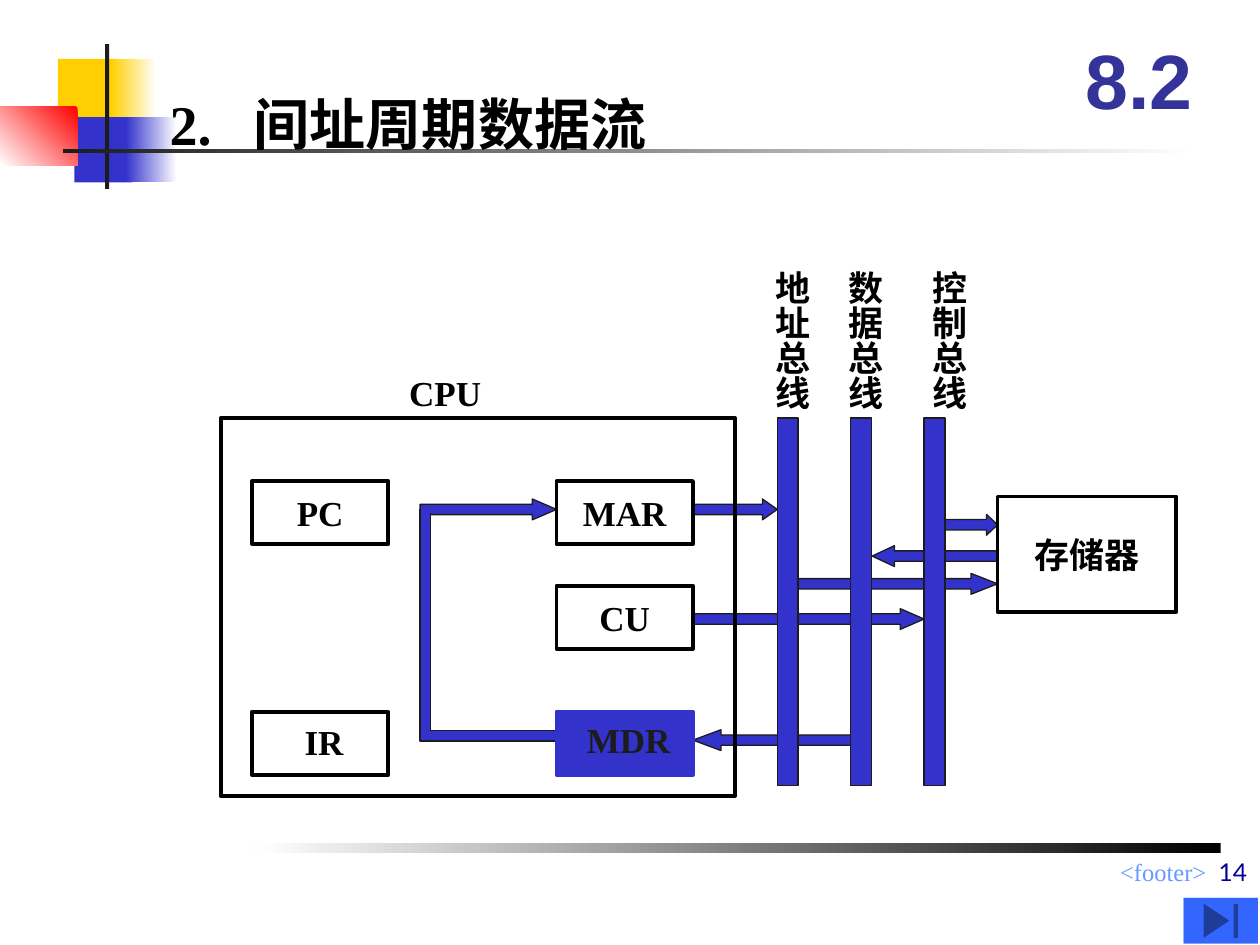
from pptx import Presentation
from pptx.dml.color import RGBColor
from pptx.enum.shapes import MSO_SHAPE
from pptx.enum.text import MSO_ANCHOR, PP_ALIGN
from pptx.oxml import parse_xml
from pptx.oxml.ns import nsdecls
from pptx.util import Cm, Pt

BLUE, DARK, BLACK, WHITE = "3333CC", "1C1C1C", "000000", "FFFFFF"
SERIF = "Times New Roman"
THIN = 0.42
CELL_WIDTH, CELL_HEIGHT = 2.75, 1.27
BUS_TOP, BUS_LEFT, BUS_STEP = 8.43, 15.67, 1.48


def color(code):
    """Turn a hex string into a colour."""
    return RGBColor.from_string(code)


def add_block(page, place, fill=None, line=None, weight=0.75, kind=MSO_SHAPE.RECTANGLE):
    """Add a preset shape with a flat fill and an outline, either optional."""
    block = page.shapes.add_shape(kind, *map(Cm, place))
    block.shadow.inherit = False
    if fill:
        block.fill.solid()
        block.fill.fore_color.rgb = color(fill)
    else:
        block.fill.background()
    if line:
        block.line.color.rgb = color(line)
        block.line.width = Pt(weight)
    else:
        block.line.fill.background()
    return block


def add_fade(page, place, first, last, angle=180):
    """Add a rectangle that fades from one colour to another."""
    block = add_block(page, place)
    block.fill.gradient()
    block.fill.gradient_angle = angle
    for stop, code in zip(block.fill.gradient_stops, (first, last)):
        stop.color.rgb = color(code)


def add_arrow(page, left, top, width, head, turned=False):
    """Add a block arrow, pointing left when turned."""
    arrow = add_block(page, (left, top, width, THIN), BLUE, DARK, kind=MSO_SHAPE.RIGHT_ARROW)
    arrow.adjustments[0] = 0.5
    arrow.adjustments[1] = head
    arrow.rotation = 180 if turned else 0


def write(box, text, size=20, font=SERIF, code=BLACK, bold=True,
          align=PP_ALIGN.LEFT, anchor=MSO_ANCHOR.TOP, wrap=False):
    """Write one paragraph into a box and return it."""
    frame = box.text_frame
    frame.word_wrap = wrap
    frame.vertical_anchor = anchor
    para = frame.paragraphs[0]
    para.alignment = align
    span = para.add_run()
    span.text = text
    span.font.size = Pt(size)
    span.font.name = font
    span.font.bold = bold
    span.font.color.rgb = color(code)
    return para


def add_label(page, place, text, **style):
    """Add a text box and return it."""
    box = page.shapes.add_textbox(*map(Cm, place))
    write(box, text, **style)
    return box


def add_unit(page, place, text):
    """Add an outlined box with a centred name."""
    unit = add_block(page, place, line=BLACK, weight=2.25)
    write(unit, text, align=PP_ALIGN.CENTER, anchor=MSO_ANCHOR.MIDDLE)


def add_bus(page, index, name, label_left):
    """Add a bus bar with its vertical name above."""
    add_block(page, (BUS_LEFT + index * BUS_STEP, BUS_TOP, THIN, 7.41), BLUE, DARK)
    frame = add_label(page, (label_left, 5.21, 1.35, 3.1), name).text_frame
    frame.margin_left = frame.margin_right = Cm(0.13)
    frame.margin_top = frame.margin_bottom = Cm(0.25)
    frame._txBody.bodyPr.set("vert", "eaVert")


def add_decoration(page):
    """Add the coloured corner and the fading rules."""
    add_block(page, (1.17, 1.19, 1.22, 1.32), "FFCF01")
    add_fade(page, (2.24, 1.19, 0.91, 1.32), WHITE, "FFCF01")
    add_block(page, (1.5, 2.36, 1.17, 1.32), BLUE)
    add_fade(page, (2.54, 2.36, 1.02, 1.32), WHITE, BLUE)
    add_fade(page, (0, 2.15, 1.56, 1.18), "FF0000", WHITE, 225)
    add_block(page, (2.12, 0.89, 0.08, 2.92), DARK)
    add_fade(page, (1.27, 3, 22.86, 0.08), WHITE, DARK)
    add_fade(page, (5.13, 16.99, 19.48, 0.2), BLACK, WHITE)


def add_title(page):
    """Add the title with a tab after its number."""
    box = page.shapes.add_textbox(Cm(3.17), Cm(1.69), Cm(15.88), Cm(1.63))
    para = write(box, "2.\t间址周期数据流", size=32, wrap=True)
    stops = f'<a:tabLst {nsdecls("a")}><a:tab pos="{Cm(1.7)}" algn="l"/></a:tabLst>'
    para._p.get_or_add_pPr().append(parse_xml(stops))


def add_flow(page):
    """Add the arrows and the path from MDR back to MAR."""
    add_arrow(page, 17.58, 11, 2.54, 1.07, turned=True)
    add_arrow(page, 13.97, 12.27, 4.66, 1.15)
    add_arrow(page, 13.97, 10.06, 1.7, 0.71)
    add_arrow(page, 16.09, 11.56, 4.02, 1.27)
    add_arrow(page, 13.97, 14.71, 3.18, 1.34, turned=True)
    add_arrow(page, 18.84, 10.37, 1.27, 0.53)
    add_arrow(page, 8.47, 10.06, 2.75, 1.16)
    for place in ((8.47, 14.73, 2.75, 0.21), (8.47, 10.27, 0.21, 4.66)):
        add_block(page, place, BLUE, DARK)
    for joint in ((8.53, 14.76, 0.15, 0.15), (8.5, 10.19, 0.36, 0.15)):
        add_block(page, joint, BLUE, BLUE)


def add_machine(page):
    """Add the buses, the processor with its registers, and the memory."""
    buses = (("地址总线", 15.16), ("数据总线", 16.64), ("控制总线", 18.34))
    for index, (name, label_left) in enumerate(buses):
        add_bus(page, index, name, label_left)
    add_block(page, (4.45, BUS_TOP, 10.37, 7.62), line=BLACK, weight=2.25)
    add_label(page, (8, 7.37, 2.1, 1.12), "CPU")
    for name, left, top in (("PC", 5.08, 9.7), ("MAR", 11.22, 9.7), ("CU", 11.22, 11.81)):
        add_unit(page, (left, top, CELL_WIDTH, CELL_HEIGHT), name)
    add_unit(page, (20.11, 10.01, 3.6, 2.33), "存储器")
    add_block(page, (5.08, 14.35, CELL_WIDTH, CELL_HEIGHT), line=BLACK, weight=2.25)
    add_label(page, (5.89, 14.4, 1.5, 1.12), "IR")
    add_block(page, (11.22, 14.35, CELL_WIDTH, CELL_HEIGHT), BLUE, BLUE, 2.25)
    add_label(page, (11.58, 14.35, 2.39, 1.12), "MDR", code=DARK)


def main():
    """Build the slide and save it."""
    deck = Presentation()
    deck.slide_width, deck.slide_height = Cm(25.4), Cm(19.05)
    page = deck.slides.add_slide(deck.slide_layouts[6])
    add_decoration(page)
    add_label(page, (9.96, 17.15, 14.61, 0.66), "<footer>", size=14, code="6699FF",
              bold=False, align=PP_ALIGN.RIGHT, wrap=True)
    add_title(page)
    add_flow(page)
    add_machine(page)
    add_label(page, (21.38, 0.42, 3.18, 2.33), "8.2", size=44, font="Arial", code="333399",
              align=PP_ALIGN.CENTER, anchor=MSO_ANCHOR.MIDDLE, wrap=True)
    add_block(page, (23.86, 18.1, 1.5, 0.92), "3366FF", kind=MSO_SHAPE.BEVEL)
    add_block(page, (23.86, 18.1, 1.5, 0.92), "3366FF", kind=MSO_SHAPE.ACTION_BUTTON_END)
    add_label(page, (13.23, 16.73, 12.16, 1.27), "14", size=14, font="Lato", code="000099",
              bold=False, align=PP_ALIGN.RIGHT, anchor=MSO_ANCHOR.BOTTOM, wrap=True)
    deck.save("out.pptx")


if __name__ == "__main__":
    main()
